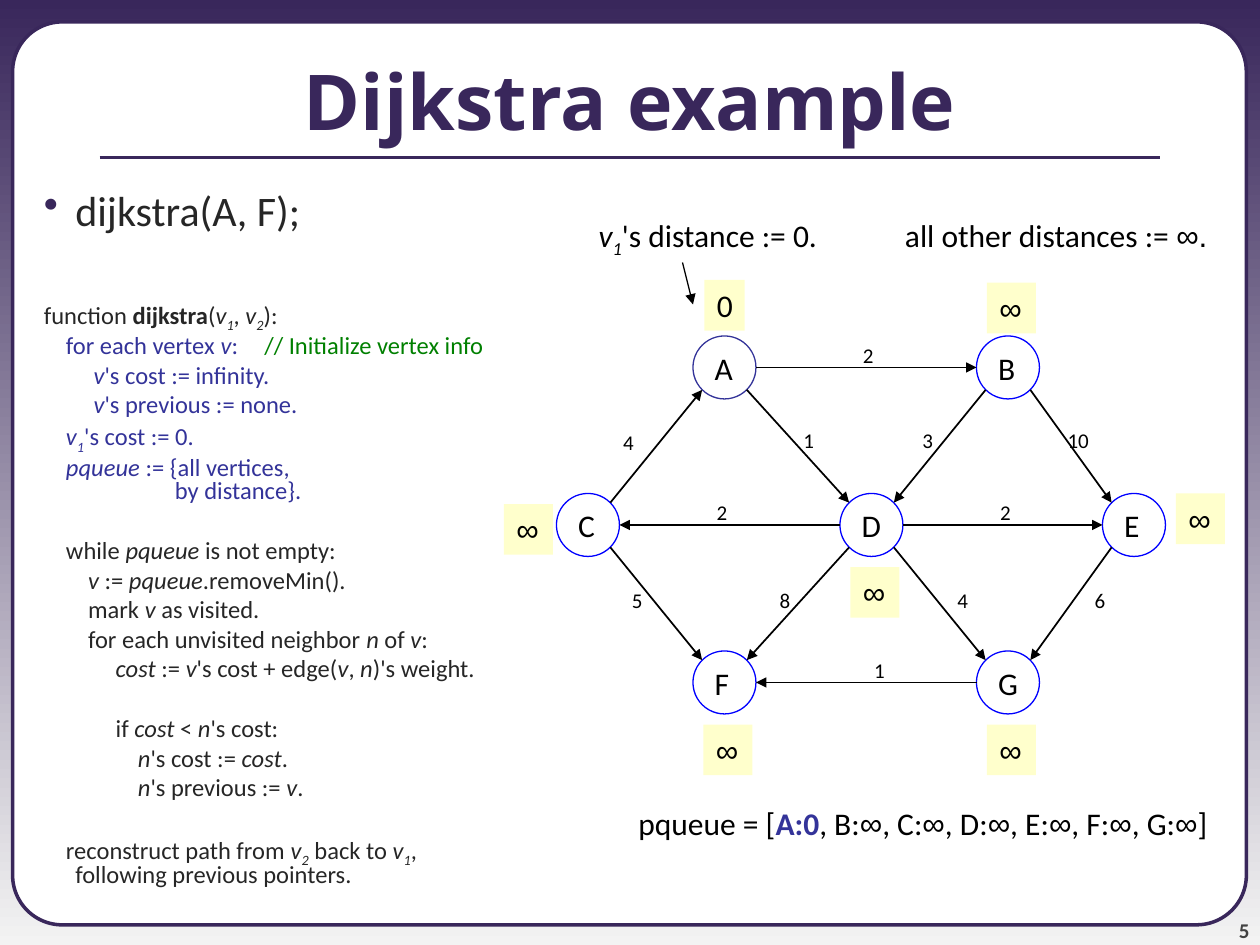
import copy

import lxml.etree
import pptx
import pptx.dml.color
import pptx.enum.dml
import pptx.enum.shapes
import pptx.enum.text
import pptx.oxml
import pptx.oxml.ns
import pptx.util

Pt = pptx.util.Pt
RGBColor = pptx.dml.color.RGBColor
Shape = pptx.enum.shapes.MSO_SHAPE
Anchor = pptx.enum.text.MSO_ANCHOR
Align = pptx.enum.text.PP_ALIGN
qn = pptx.oxml.ns.qn

PURPLE = RGBColor(0x39, 0x27, 0x5B)
PALE = RGBColor(0xF3, 0xF3, 0xF3)
WHITE = RGBColor(0xFF, 0xFF, 0xFF)
BLACK = RGBColor(0, 0, 0)
DARK = RGBColor(0x26, 0x26, 0x26)
GRAY = RGBColor(0x42, 0x42, 0x42)
INDIGO = RGBColor(0x33, 0x33, 0x99)
BLUE = RGBColor(0, 0, 0xFF)
GREEN = RGBColor(0, 0x80, 0)
CREAM = RGBColor(0xFF, 0xFF, 0xCC)

LABEL = {"name": "Calibri", "size": Pt(18), "color": BLACK}
INFINITY = {**LABEL, "name": "Arial"}
WEIGHT = {**LABEL, "size": Pt(12)}
CODE = {"name": "Calibri", "size": Pt(14), "color": DARK}
ACTIVE = {**CODE, "color": INDIGO}
COMMENT = {**CODE, "color": GREEN}

# Graph: node centres, directed edges, weight label and cost label corners
RADIUS = 18
NODES = {"A": (414, 210), "B": (576, 210), "C": (336, 300), "D": (498, 300),
         "E": (648, 300), "F": (414, 390), "G": (576, 390)}
EDGES = [("C", "A", "4", 349, 242), ("A", "D", "1", 452, 241),
         ("A", "B", "2", 486, 192), ("B", "E", "10", 603, 241),
         ("B", "D", "3", 520, 241), ("E", "G", "6", 618.5, 332),
         ("D", "G", "4", 540, 332), ("D", "E", "2", 564.5, 282),
         ("D", "C", "2", 402.5, 282), ("D", "F", "8", 438.5, 332),
         ("C", "F", "5", 354, 332), ("G", "F", "1", 492.5, 372)]
COSTS = [("0", 402.5, 160), ("∞", 564, 161.5), ("∞", 288, 288), ("∞", 672, 282),
         ("∞", 486, 324), ("∞", 402, 414), ("∞", 564, 414)]

# Pseudocode: indent in characters, gap above, left edge of wrapped lines, spans.
# |bars| enclose italics, and _ starts a subscript within them.
GAP, BLANK = 3.5, 20.7
PSEUDOCODE = [
    (0, 38.8, 0, [("function ", CODE), ("dijkstra", {**CODE, "bold": True}),
                  ("(|v_1|, |v_2|):", CODE)]),
    (4, GAP, 0, [("for each vertex |v|:\t", ACTIVE),
                 ("// Initialize vertex info", COMMENT)]),
    (9, GAP, 0, [("|v|'s cost := infinity.", ACTIVE)]),
    (9, GAP, 0, [("|v|'s previous := none.", ACTIVE)]),
    (4, GAP, 0, [("|v_1|'s cost := 0.", ACTIVE)]),
    (4, GAP, 92.9, [("|pqueue| := {all vertices,\nby distance}.", ACTIVE)]),
    (4, BLANK, 0, [("while |pqueue| is not empty:", CODE)]),
    (8, GAP, 0, [("|v| := |pqueue|.removeMin().", CODE)]),
    (8, GAP, 0, [("mark |v| as visited.", CODE)]),
    (8, GAP, 0, [("for each unvisited neighbor |n| of |v|:", CODE)]),
    (13, GAP, 0, [("|cost| := |v|'s cost + edge(|v|, |n|)'s weight.", CODE)]),
    (13, BLANK, 0, [("if |cost| < |n|'s cost:", CODE)]),
    (17, GAP, 0, [("|n|'s cost := |cost|.", CODE)]),
    (17, GAP, 0, [("|n|'s previous := |v|.", CODE)]),
    (4, BLANK, 36, [("reconstruct path from |v_2| back to |v_1|,\n"
                     "following previous pointers.", CODE)]),
]


def add_span(para, text, style):
    """Add runs in one style, with real line breaks between lines."""
    for index, line in enumerate(text.split("\n")):
        if index:
            para.add_line_break()
            para._p[-1].append(copy.deepcopy(span._r.get_or_add_rPr()))
        span = para.add_run()
        span.text = line
        for name, value in style.items():
            if name == "color":
                span.font.color.rgb = value
            else:
                setattr(span.font, name, value)
    return span


def write(para, spans):
    """Write marked-up spans: italics in bars, subscripts after an underscore."""
    for text, style in spans:
        for index, part in enumerate(text.split("|")):
            if index % 2 == 0:
                if part:
                    add_span(para, part, style)
                continue
            slanted = {**style, "italic": True}
            name, _, subscript = part.partition("_")
            add_span(para, name, slanted)
            if subscript:
                span = add_span(para, subscript, slanted)
                span._r.get_or_add_rPr().set("baseline", "-25000")


def set_frame(shape, **values):
    for name, value in values.items():
        setattr(shape.text_frame, name, value)


def add_text(page, left, top, width, height, spans, align=Align.LEFT, **frame):
    box = page.shapes.add_textbox(Pt(left), Pt(top), Pt(width), Pt(height))
    set_frame(box, **{"word_wrap": True, **frame})
    para = box.text_frame.paragraphs[0]
    para.alignment = align
    write(para, spans)
    return box


def add_box(page, kind, left, top, width, height, fill=None, line=None, weight=0.75):
    shape = page.shapes.add_shape(kind, Pt(left), Pt(top), Pt(width), Pt(height))
    shape.shadow.inherit = False
    for target, color in ((shape.fill, fill), (shape.line.fill, line)):
        if color is None:
            target.background()
        else:
            target.solid()
            target.fore_color.rgb = color
    if line is not None:
        shape.line.width = Pt(weight)
    return shape


def label(shape, text, style, anchor):
    set_frame(shape, word_wrap=False, vertical_anchor=anchor)
    para = shape.text_frame.paragraphs[0]
    para.alignment = Align.LEFT
    write(para, [(text, style)])


def add_line(page, start, end, color=BLACK, weight=1, arrow=True):
    line = page.shapes.add_connector(pptx.enum.shapes.MSO_CONNECTOR.STRAIGHT,
                                     *(Pt(value) for value in (*start, *end)))
    line.line.color.rgb = color
    line.line.width = Pt(weight)
    if arrow:
        lxml.etree.SubElement(line.line._get_or_add_ln(), qn("a:tailEnd"), type="triangle")
    lxml.etree.SubElement(line._element.spPr, qn("a:effectLst"))


def add_edge(page, start, end):
    """Arrow between circle rims, level or leaving at 45 degrees."""
    (x1, y1), (x2, y2) = NODES[start], NODES[end]
    reach = RADIUS if y1 == y2 else RADIUS * 0.71
    dx = reach if x2 > x1 else -reach
    dy = 0 if y1 == y2 else (reach if y2 > y1 else -reach)
    add_line(page, (x1 + dx, y1 + dy), (x2 - dx, y2 - dy))


def set_indent(para, first, rest):
    properties = para._p.get_or_add_pPr()
    properties.set("marL", str(Pt(rest)))
    properties.set("indent", str(Pt(first) - Pt(rest)))
    return properties


def add_pseudocode(page):
    body = add_text(page, 0, 102, 720, 438,
                    [("dijkstra(A, F);", {**CODE, "size": Pt(24)})])
    bullet = set_indent(body.text_frame.paragraphs[0], 18, 36)
    color = lxml.etree.SubElement(bullet, qn("a:buClr"))
    lxml.etree.SubElement(color, qn("a:srgbClr"), val=str(PURPLE))
    lxml.etree.SubElement(bullet, qn("a:buChar"), char="•")
    for characters, gap, rest, spans in PSEUDOCODE:
        para = body.text_frame.add_paragraph()
        para.line_spacing = 0.8
        para.space_before = Pt(gap)
        properties = set_indent(para, 18 + 3.16 * characters, rest)
        if any("\t" in text for text, _ in spans):
            tabs = lxml.etree.SubElement(properties, qn("a:tabLst"))
            lxml.etree.SubElement(tabs, qn("a:tab"), pos=str(Pt(138.5)), algn="l")
        write(para, spans)


def add_backdrop(page):
    fill = page.background.fill
    fill.gradient()
    fill.gradient_angle = 270
    for stop, color in zip(fill.gradient_stops, (PURPLE, PALE)):
        stop.color.rgb = color
    card = add_box(page, Shape.ROUNDED_RECTANGLE, 7.2, 12.5, 705, 516, WHITE, PURPLE, 2)
    card.adjustments[0] = 0.055
    add_text(page, 654, 510, 60, 28.5,
             [("5", {**WEIGHT, "color": GRAY, "bold": True})], Align.RIGHT,
             vertical_anchor=Anchor.BOTTOM, margin_left=0, margin_top=0,
             margin_right=0, margin_bottom=0)
    add_line(page, (57, 90), (663, 90), PURPLE, 2.25, arrow=False)


def add_title(page, text):
    title = page.shapes.title
    page.shapes._spTree.append(title._element)  # in front of the card
    for name, value in zip(("left", "top", "width", "height"), (0, 12, 720, 90)):
        setattr(title, name, Pt(value))
    set_frame(title, vertical_anchor=Anchor.MIDDLE, word_wrap=True,
              auto_size=pptx.enum.text.MSO_AUTO_SIZE.NONE)
    para = title.text_frame.paragraphs[0]
    para.alignment = Align.CENTER
    write(para, [(text, {"name": "Open Sans", "size": Pt(44),
                         "color": PURPLE, "bold": True})])


def add_graph(page):
    for name, (x, y) in NODES.items():
        current = name == "A"
        circle = add_box(page, Shape.OVAL, x - RADIUS, y - RADIUS, 2 * RADIUS, 2 * RADIUS,
                         WHITE if current else None, INDIGO if current else BLUE)
        label(circle, name, LABEL, Anchor.MIDDLE)
    for start, end, weight, left, top in EDGES:
        add_edge(page, start, end)
        add_text(page, left, top, 14 + 6.3 * len(weight), 21.6, [(weight, WEIGHT)],
                 word_wrap=False, vertical_anchor=Anchor.MIDDLE)
    for cost, left, top in COSTS:
        known = cost != "∞"
        tag = add_box(page, Shape.RECTANGLE, left, top, 23 if known else 28, 29, CREAM)
        label(tag, cost, LABEL if known else INFINITY, Anchor.TOP)


def add_notes_on_graph(page):
    add_text(page, 293, 120, 181, 31.5, [("|v_1|'s distance := 0.", LABEL)], Align.RIGHT)
    add_line(page, (390, 150), (396, 174), weight=0.75)
    add_text(page, 510, 120, 198, 29,
             [("all other distances := ", LABEL), ("∞.", INFINITY)])
    queue = [("pqueue = [", LABEL), ("A:0", {**LABEL, "color": INDIGO, "bold": True})]
    for name in list(NODES)[1:]:
        queue += [(f", {name}:", LABEL), ("∞", INFINITY)]
    add_text(page, 353.5, 456, 343.5, 29, queue + [("]", LABEL)], Align.RIGHT,
             word_wrap=False)


def main():
    deck = pptx.Presentation()
    deck.slide_width, deck.slide_height = Pt(720), Pt(540)
    page = deck.slides.add_slide(deck.slide_layouts[5])
    add_backdrop(page)
    add_title(page, "Dijkstra example")
    add_pseudocode(page)
    add_graph(page)
    add_notes_on_graph(page)
    deck.save("out.pptx")


if __name__ == "__main__":
    main()
